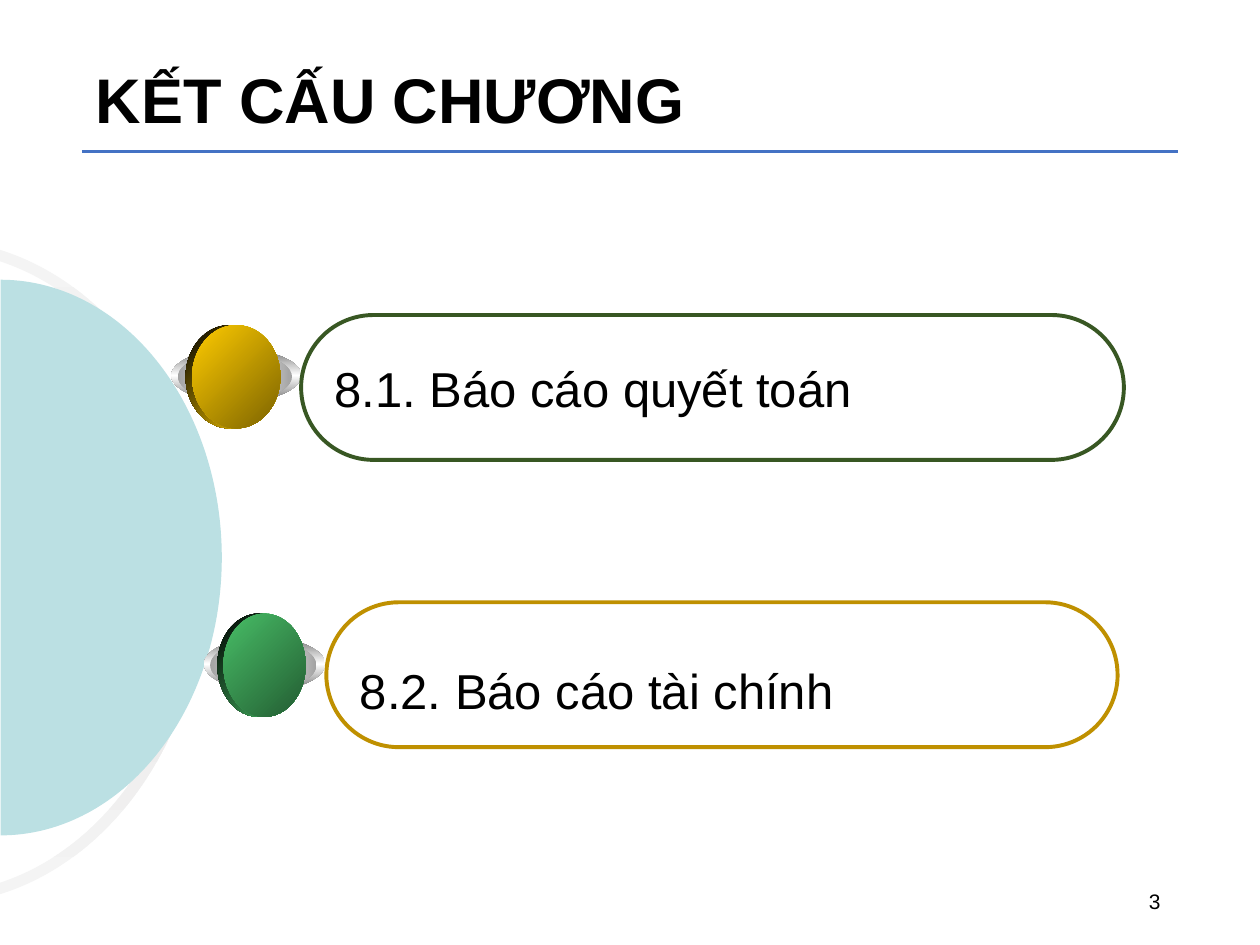
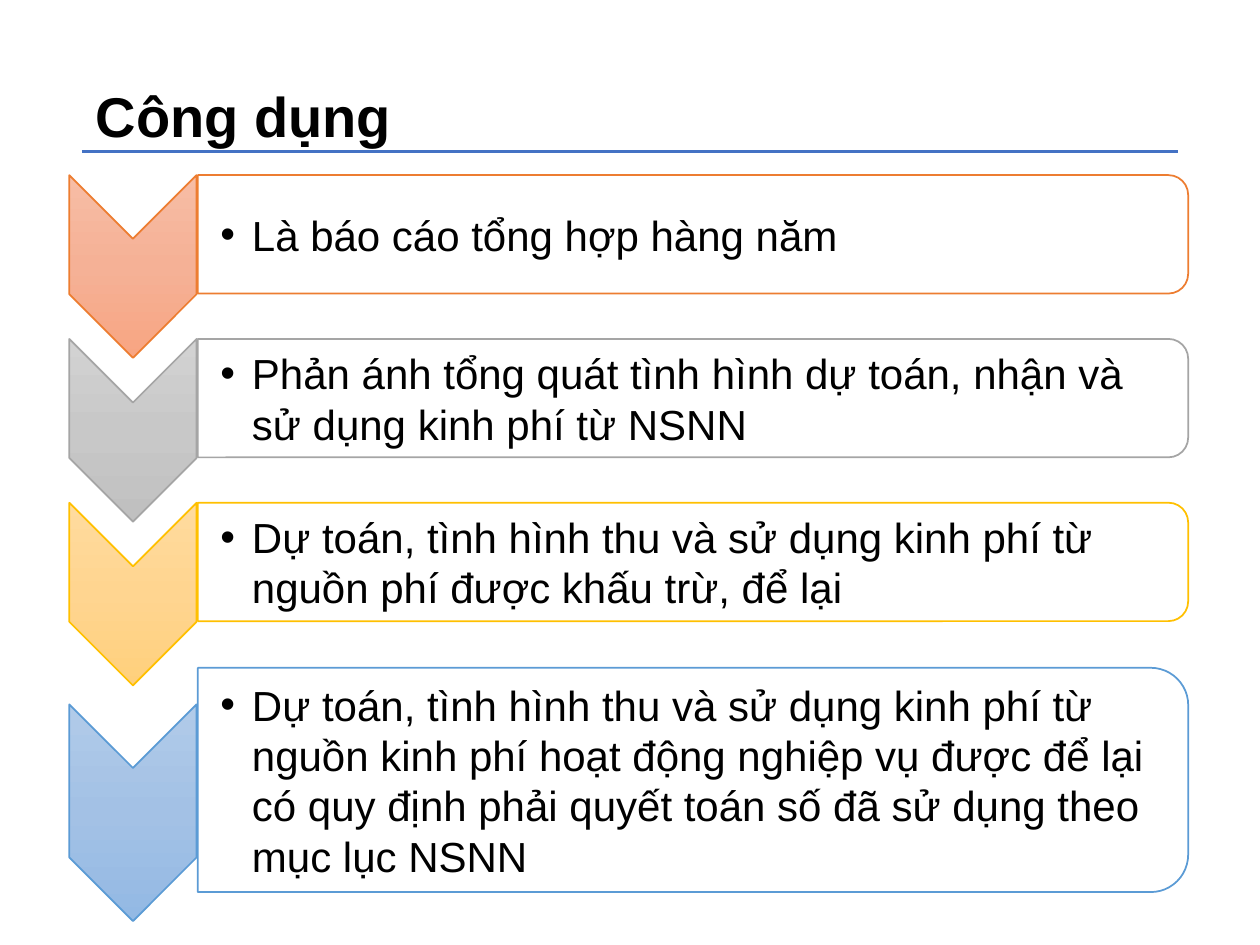
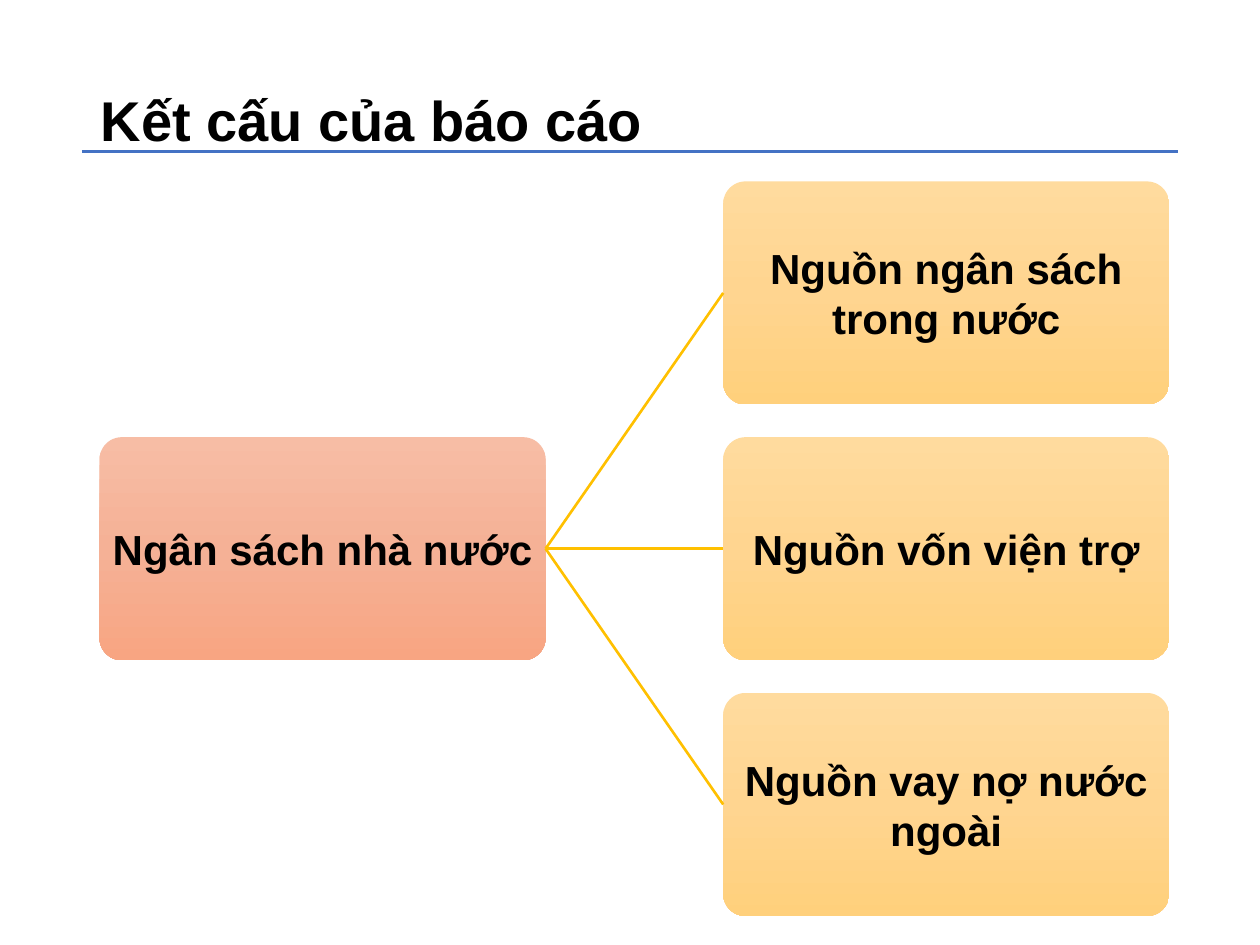
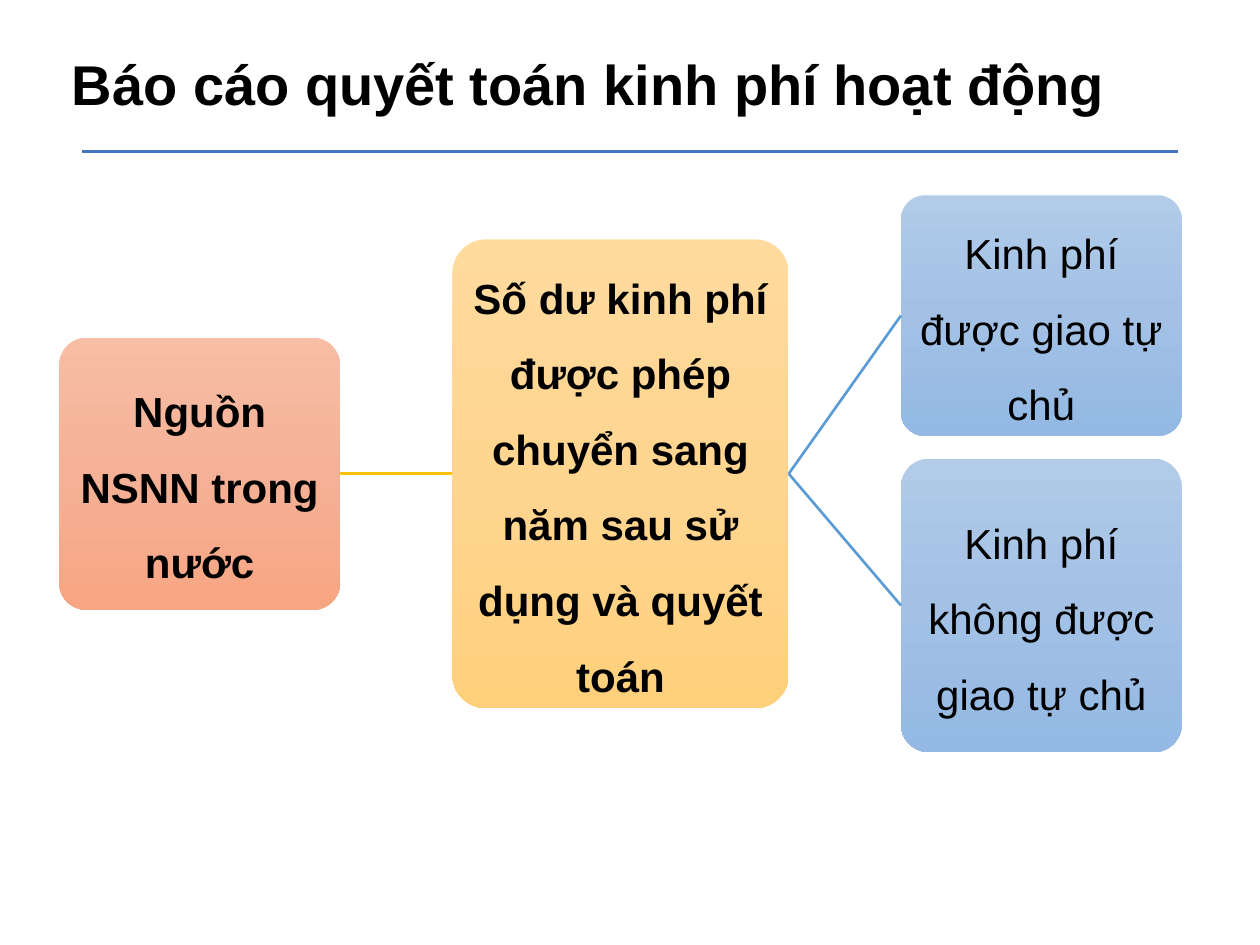
"""Build four slides on the structure and purpose of the budget settlement report."""
import dataclasses
import typing

import lxml.etree
import pptx
import pptx.dml.color
import pptx.enum.shapes
import pptx.enum.text
import pptx.oxml.ns
import pptx.util

Inches = pptx.util.Inches
Preset = pptx.enum.shapes.MSO_SHAPE
Straight = pptx.enum.shapes.MSO_CONNECTOR.STRAIGHT
Align = pptx.enum.text.PP_ALIGN
Anchor = pptx.enum.text.MSO_ANCHOR
AutoSize = pptx.enum.text.MSO_AUTO_SIZE
qn = pptx.oxml.ns.qn
Stops = tuple[str, ...]
Point = tuple[float, float]

RIGHT_SITE, LEFT_SITE = 3, 1


@dataclasses.dataclass(frozen=True)
class Tone:
    edge: str
    stops: Stops


@dataclasses.dataclass(frozen=True)
class Theme:
    font: str = "Arial"
    text: str = "000000"
    paper: str = "FFFFFF"
    rule: str = "4472C4"
    disc: str = "BBE0E3"
    ring: Stops = ("F4F4F4", "E7E6E6", "F4F4F4")
    outer_silver: Stops = ("767676", "FFFFFF", "767676")
    inner_silver: Stops = ("A2A2A2", "FFFFFF", "A2A2A2")
    orange: Tone = Tone("ED7D31", ("F7BDA5", "F5B196", "F8A582"))
    gray: Tone = Tone("A5A5A5", ("D2D2D2", "C8C8C8", "C0C0C0"))
    gold: Tone = Tone("FFC000", ("FFDB9E", "FFD590", "FFD07C"))
    blue: Tone = Tone("5B9BD5", ("B1CBE9", "A3C1E5", "93B9E4"))
    chapter_title: int = 36
    section_title: int = 32
    topic: int = 28
    body: int = 24
    page: int = 12
    wide_spacing: float = 1.5


THEME = Theme()


@dataclasses.dataclass(frozen=True)
class Box:
    left: float
    top: float
    width: float
    height: float

    def lengths(self) -> list[int]:
        return [Inches(value) for value in dataclasses.astuple(self)]

    def before_quarter_turn(self) -> "Box":
        shift = (self.width - self.height) / 2
        return Box(self.left + shift, self.top - shift, self.height, self.width)


@dataclasses.dataclass(frozen=True)
class Writing:
    size: int
    bold: bool = False
    align: Align = Align.LEFT
    anchor: Anchor = Anchor.MIDDLE
    spacing: float = 1.0
    margins: tuple[float, float, float, float] = (0.1, 0.05, 0.1, 0.05)


@dataclasses.dataclass(frozen=True)
class Topic:
    text: str
    pill: Box
    edge: str
    spacing: float
    knob: Point
    knob_width: float
    knob_back: Stops
    knob_front: Stops


@dataclasses.dataclass(frozen=True)
class Purpose:
    text: str
    tone: Tone
    top: float
    height: float
    chevron_top: float
    chevron_height: float


@dataclasses.dataclass(frozen=True)
class Node:
    text: str
    box: Box
    tone: Tone
    bold: bool = True
    parent: typing.Optional[int] = None


def rgb(value: str) -> pptx.dml.color.RGBColor:
    return pptx.dml.color.RGBColor.from_string(value)


def apply(target: typing.Any, values: dict[str, typing.Any]) -> None:
    for name, value in values.items():
        setattr(target, name, value)


def write(frame: typing.Any, text: str, style: Writing) -> typing.Any:
    left, top, right, bottom = (Inches(margin) for margin in style.margins)
    apply(frame, {
        "word_wrap": True, "auto_size": AutoSize.NONE, "vertical_anchor": style.anchor,
        "margin_left": left, "margin_top": top, "margin_right": right, "margin_bottom": bottom,
    })
    paragraph = frame.paragraphs[0]
    apply(paragraph, {"alignment": style.align, "line_spacing": style.spacing})
    run = paragraph.add_run()
    run.text = text
    apply(run.font, {"name": THEME.font, "size": pptx.util.Pt(style.size), "bold": style.bold})
    run.font.color.rgb = rgb(THEME.text)
    return paragraph


def add_bullet(paragraph: typing.Any, indent: float) -> None:
    properties = paragraph._p.get_or_add_pPr()
    properties.set("marL", str(Inches(indent)))
    properties.set("indent", str(-Inches(indent)))
    lxml.etree.SubElement(properties, qn("a:buFont"), typeface=THEME.font)
    lxml.etree.SubElement(properties, qn("a:buChar"), char="•")


def fill_gradient(shape: typing.Any, stops: Stops, angle: int) -> None:
    shape.fill.background()
    gradient = lxml.etree.Element(qn("a:gradFill"), rotWithShape="0")
    stop_list = lxml.etree.SubElement(gradient, qn("a:gsLst"))
    for index, color in enumerate(stops):
        position = str(100000 * index // (len(stops) - 1))
        stop = lxml.etree.SubElement(stop_list, qn("a:gs"), pos=position)
        lxml.etree.SubElement(stop, qn("a:srgbClr"), val=color)
    lxml.etree.SubElement(gradient, qn("a:lin"), ang=str(angle * 60000), scaled="0")
    properties = shape.element.spPr
    properties.replace(properties.find(qn("a:noFill")), gradient)


def paint(shape: typing.Any, fill: typing.Union[str, Stops, None] = None,
          edge: typing.Optional[str] = None, edge_width: float = 1, angle: int = 90) -> None:
    shape.shadow.inherit = False
    if fill is None:
        shape.fill.background()
    elif isinstance(fill, str):
        shape.fill.solid()
        shape.fill.fore_color.rgb = rgb(fill)
    else:
        fill_gradient(shape, fill, angle)
    if edge is None:
        shape.line.fill.background()
    else:
        shape.line.color.rgb = rgb(edge)
        shape.line.width = pptx.util.Pt(edge_width)


def add_line(slide: typing.Any, start: Point, end: Point, color: str) -> typing.Any:
    line = slide.shapes.add_connector(Straight, *(Inches(value) for value in start + end))
    line.line.color.rgb = rgb(color)
    line.line.width = pptx.util.Pt(1.5)
    lxml.etree.SubElement(line.element.spPr, qn("a:effectLst"))
    return line


def add_titled_slide(deck: typing.Any, text: str, box: Box, style: Writing) -> typing.Any:
    slide = deck.slides.add_slide(deck.slide_layouts[5])
    title = slide.shapes.title
    apply(title, dict(zip(("left", "top", "width", "height"), box.lengths())))
    write(title.text_frame, text, style)
    return slide


def add_rule_to_layout(deck: typing.Any, slide: typing.Any) -> None:
    rule = add_line(slide, (0.65, 1.2), (9.35, 1.2), THEME.rule)
    rule.element.nvCxnSpPr.cNvPr.set("id", "20")
    deck.slide_layouts[5].shapes.element.append(rule.element)


def add_turned(slide: typing.Any, preset: Preset, box: Box,
               fill: typing.Union[str, Stops], edge: typing.Optional[str] = None) -> typing.Any:
    shape = slide.shapes.add_shape(preset, *box.before_quarter_turn().lengths())
    shape.rotation = 90
    paint(shape, fill, edge)
    return shape


def add_half_round(slide: typing.Any, box: Box, thickness: float,
                   fill: typing.Union[str, Stops]) -> None:
    add_turned(slide, Preset.BLOCK_ARC, box, fill).adjustments[2] = thickness


def add_knob(slide: typing.Any, topic: Topic) -> None:
    left, top = topic.knob
    layers = (
        (0, 0.19, 1, 0.42, THEME.outer_silver, 90),
        (0.05, 0.22, 0.88, 0.38, THEME.inner_silver, 0),
        (0.11, 0, 0.68, 0.82, topic.knob_back, 45),
        (0.16, 0, 0.68, 0.82, topic.knob_front, 45),
    )
    for shift, drop, share, height, stops, angle in layers:
        place = Box(left + shift * topic.knob_width, top + drop, share * topic.knob_width, height)
        layer = slide.shapes.add_shape(Preset.OVAL, *place.lengths())
        paint(layer, stops, angle=angle)


def add_topic(slide: typing.Any, topic: Topic) -> None:
    add_knob(slide, topic)
    pill = slide.shapes.add_shape(Preset.ROUNDED_RECTANGLE, *topic.pill.lengths())
    pill.adjustments[0] = 0.5
    paint(pill, edge=topic.edge, edge_width=2.25)
    write(pill.text_frame, topic.text, Writing(THEME.topic, spacing=topic.spacing))


def add_purpose(slide: typing.Any, purpose: Purpose) -> None:
    chevron = Box(0.55, purpose.chevron_top, 1.01, purpose.chevron_height)
    panel = Box(1.57, purpose.top, 7.86, purpose.height)
    add_turned(slide, Preset.CHEVRON, chevron, purpose.tone.stops, purpose.tone.edge)
    add_turned(slide, Preset.ROUND_2_SAME_RECTANGLE, panel, THEME.paper, purpose.tone.edge)
    wording = slide.shapes.add_textbox(*dataclasses.replace(panel, width=7.8).lengths())
    style = Writing(THEME.body, margins=(0.18, 0.02, 0.02, 0.02))
    add_bullet(write(wording.text_frame, purpose.text, style), 0.25)


def add_tree(slide: typing.Any, nodes: list[Node], spacing: float) -> None:
    style = Writing(THEME.body, align=Align.CENTER, spacing=spacing, margins=(0.02,) * 4)
    drawn: list[typing.Any] = []
    for node in nodes:
        card = slide.shapes.add_shape(Preset.ROUNDED_RECTANGLE, *node.box.lengths())
        card.adjustments[0] = 0.1
        paint(card, node.tone.stops)
        write(card.text_frame, node.text, dataclasses.replace(style, bold=node.bold))
        drawn.append(card)
        if node.parent is not None:
            branch = add_line(slide, (0, 0), (1, 1), node.tone.edge)
            branch.begin_connect(drawn[node.parent], RIGHT_SITE)
            branch.end_connect(card, LEFT_SITE)


def build_outline_slide(deck: typing.Any) -> None:
    slide = add_titled_slide(deck, "KẾT CẤU CHƯƠNG", Box(0.66, 0.19, 9, 1.25),
                             Writing(THEME.chapter_title, bold=True, spacing=0.9))
    add_rule_to_layout(deck, slide)
    add_half_round(slide, Box(-2.71, 1.9, 4.34, 5.28), 0.02, THEME.ring)
    add_half_round(slide, Box(-1.75, 2.22, 3.51, 4.41), 0.5, THEME.disc)
    page = slide.shapes.add_textbox(*Box(7.06, 6.95, 2.25, 0.4).lengths())
    write(page.text_frame, "3", Writing(THEME.page, align=Align.RIGHT))
    topics = (
        Topic("8.1. Báo cáo quyết toán", Box(2.39, 2.5, 6.53, 1.15), "385723", 1.0,
              (1.36, 2.58), 1.03, ("000000", "FFCC00"), ("FFCC00", "7C6300")),
        Topic("8.2. Báo cáo tài chính", Box(2.59, 4.78, 6.28, 1.15), "BF9000",
              THEME.wide_spacing, (1.62, 4.87), 0.96,
              ("000000", "48BE67"), ("48BE67", "235C32")),
    )
    for topic in topics:
        add_topic(slide, topic)


def build_purpose_slide(deck: typing.Any, title_style: Writing) -> None:
    slide = add_titled_slide(deck, "Công dụng", Box(0.66, 0.33, 8.47, 0.81), title_style)
    short_purposes = (
        ("Là báo cáo tổng hợp hàng năm", THEME.orange),
        ("Phản ánh tổng quát tình hình dự toán, nhận và sử dụng kinh phí từ NSNN", THEME.gray),
        ("Dự toán, tình hình thu và sử dụng kinh phí từ nguồn phí được khấu trừ, để lại",
         THEME.gold),
    )
    first_top, pitch = 1.39, 1.3
    for index, (text, tone) in enumerate(short_purposes):
        top = first_top + index * pitch
        add_purpose(slide, Purpose(text, tone, top, 0.94, top, 1.45))
    add_purpose(slide, Purpose(
        "Dự toán, tình hình thu và sử dụng kinh phí từ nguồn kinh phí hoạt động nghiệp vụ "
        "được để lại có quy định phải quyết toán số đã sử dụng theo mục lục NSNN",
        THEME.blue, 5.3, 1.78, 5.59, 1.72))


def build_structure_slide(deck: typing.Any, title_style: Writing) -> None:
    slide = add_titled_slide(deck, "Kết cấu của báo cáo", Box(0.7, 0.36, 8.48, 0.81),
                             title_style)
    sources = ("Nguồn ngân sách trong nước", "Nguồn vốn viện trợ", "Nguồn vay nợ nước ngoài")
    budget = Node("Ngân sách nhà nước", Box(0.79, 3.47, 3.54, 1.77), THEME.orange)
    branches = [Node(text, Box(5.74, 1.44 + 2.03 * index, 3.54, 1.77), THEME.gold, parent=0)
                for index, text in enumerate(sources)]
    add_tree(slide, [budget, *branches], 1.0)


def build_funding_slide(deck: typing.Any, title_style: Writing) -> None:
    slide = add_titled_slide(deck, "Báo cáo quyết toán kinh phí hoạt động",
                             Box(0.47, 0.34, 8.65, 0.64),
                             dataclasses.replace(title_style, spacing=1.0))
    add_tree(slide, [
        Node("Nguồn NSNN trong nước", Box(0.47, 2.68, 2.23, 2.16), THEME.orange),
        Node("Số dư kinh phí được phép chuyển sang năm sau sử dụng và quyết toán",
             Box(3.59, 1.9, 2.67, 3.72), THEME.gold, parent=0),
        Node("Kinh phí được giao tự chủ", Box(7.15, 1.55, 2.23, 1.91), THEME.blue, False, 1),
        Node("Kinh phí không được giao tự chủ", Box(7.15, 3.64, 2.23, 2.33),
             THEME.blue, False, 1),
    ], THEME.wide_spacing)


def main() -> None:
    deck = pptx.Presentation()
    apply(deck, {"slide_width": Inches(10), "slide_height": Inches(7.5)})
    section_style = Writing(THEME.section_title, bold=True, anchor=Anchor.TOP,
                            spacing=THEME.wide_spacing)
    build_outline_slide(deck)
    build_purpose_slide(deck, section_style)
    build_structure_slide(deck, section_style)
    build_funding_slide(deck, section_style)
    deck.save("out.pptx")


if __name__ == "__main__":
    main()
